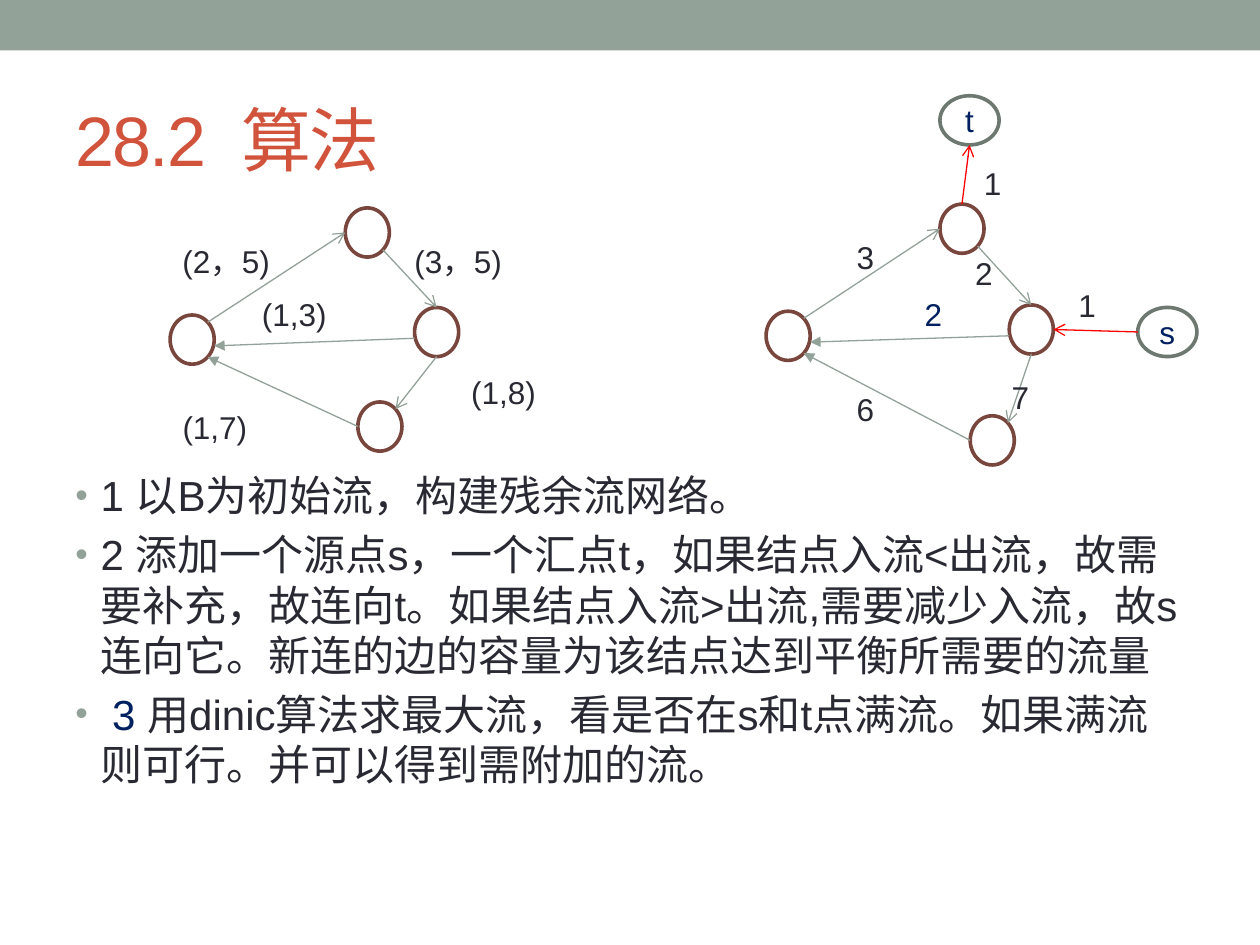
from math import cos, pi, sin
from lxml.etree import SubElement
from pptx import Presentation
from pptx.dml.color import RGBColor
from pptx.enum.shapes import MSO_CONNECTOR, MSO_SHAPE
from pptx.enum.text import MSO_ANCHOR, MSO_AUTO_SIZE, PP_ALIGN
from pptx.oxml.ns import qn
from pptx.util import Inches, Pt


class Theme:
    font = "Arial"
    ink, navy, title = "292934", "002060", "D2533C"
    sage, brown, slate, red, white = "93A299", "79463D", "6D7871", "FF0000", "FFFFFF"
    head, body, label = 40, 24, 18
    ring, edge = 2.08, 0.75


# Sites on an oval, counted from the top, counterclockwise
TOP, LEFT, LOW_LEFT, BASE, LOW_RIGHT, RIGHT, UP_RIGHT = 0, 2, 3, 4, 5, 6, 7
HIGH = 0.39


def tint(code):
    return RGBColor.from_string(code)


def add_run(para, text, size, color):
    run = para.add_run()
    run.text = text
    run.font.name = Theme.font
    run.font.size = Pt(size)
    run.font.color.rgb = tint(color)
    return run


def add_box(slide, x, y, w, h):
    box = slide.shapes.add_textbox(Inches(x), Inches(y), Inches(w), Inches(h))
    box.text_frame.word_wrap = True
    return box.text_frame


def add_label(slide, text, x, y, w, color=Theme.ink):
    frame = add_box(slide, x, y, w, 0.4)
    frame.auto_size = MSO_AUTO_SIZE.SHAPE_TO_FIT_TEXT
    add_run(frame.paragraphs[0], text, Theme.label, color)


def add_node(slide, x, y, w=0.35, text=None):
    node = slide.shapes.add_shape(
        MSO_SHAPE.OVAL, Inches(x), Inches(y), Inches(w), Inches(HIGH))
    node.shadow.inherit = False
    node.line.width = Pt(Theme.ring)
    if text:
        node.fill.background()
        node.line.color.rgb = tint(Theme.slate)
        frame = node.text_frame
        frame.vertical_anchor = MSO_ANCHOR.MIDDLE
        frame.paragraphs[0].alignment = PP_ALIGN.CENTER
        add_run(frame.paragraphs[0], text, Theme.label, Theme.navy)
    else:
        node.fill.solid()
        node.fill.fore_color.rgb = tint(Theme.white)
        node.line.color.rgb = tint(Theme.brown)
    return x, y, w


def find_site(node, site):
    x, y, w = node
    turn = site * pi / 4
    return x + w / 2 * (1 - sin(turn)), y + HIGH / 2 * (1 - cos(turn))


def add_edge(slide, start, end, color=Theme.sage, tip="arrow", drop=0):
    (x1, y1), (x2, y2) = find_site(*start), find_site(*end)
    line = slide.shapes.add_connector(
        MSO_CONNECTOR.STRAIGHT, Inches(x1), Inches(y1 + drop), Inches(x2), Inches(y2 + drop))
    line.line.color.rgb = tint(color)
    line.line.width = Pt(Theme.edge)
    SubElement(line.line._get_or_add_ln(), qn("a:tailEnd"), type=tip)
    SubElement(line._element.spPr, qn("a:effectLst"))


def add_graph(slide, spots, labels):
    top, right, base, left = nodes = [add_node(slide, *spot) for spot in spots]
    add_edge(slide, (left, UP_RIGHT), (top, LEFT))
    add_edge(slide, (right, LEFT), (left, RIGHT), tip="triangle", drop=0.05)
    add_edge(slide, (base, LEFT), (left, LOW_RIGHT), tip="triangle")
    add_edge(slide, (top, LOW_RIGHT), (right, TOP))
    add_edge(slide, (right, BASE), (base, UP_RIGHT))
    for label in labels:
        add_label(slide, *label)
    return nodes


def add_title(slide, text):
    frame = add_box(slide, 0.5, 0.56, 9, 1.08)
    frame.vertical_anchor = MSO_ANCHOR.MIDDLE
    run = add_run(frame.paragraphs[0], text, Theme.head, Theme.title)
    run.font._element.set("spc", "-100")


def add_list(slide, items):
    frame = add_box(slide, 0.5, 3.68, 9, 3.47)
    for count, item in enumerate(items):
        para = frame.add_paragraph() if count else frame.paragraphs[0]
        props = para._p.get_or_add_pPr()
        props.set("marL", str(Inches(0.2)))
        props.set("indent", str(-Inches(0.2)))
        para.space_before = Pt(0.2 * Theme.body)
        shade = SubElement(props, qn("a:buClr"))
        SubElement(shade, qn("a:srgbClr"), val=Theme.sage)
        SubElement(props, qn("a:buSzPct"), val="85000")
        SubElement(props, qn("a:buFont"), typeface=Theme.font)
        SubElement(props, qn("a:buChar"), char="•")
        for text, color in item:
            add_run(para, text, Theme.body, color)


def add_band(slide):
    band = slide.shapes.add_shape(MSO_SHAPE.RECTANGLE, 0, 0, Inches(10), Inches(0.4))
    band.shadow.inherit = False
    band.fill.solid()
    band.fill.fore_color.rgb = tint(Theme.sage)
    band.line.fill.background()


def main():
    deck = Presentation()
    deck.slide_width, deck.slide_height = Inches(10), Inches(7.5)
    slide = deck.slides.add_slide(deck.slide_layouts[6])

    # Band, title and steps
    add_band(slide)
    add_title(slide, "28.2  算法")
    add_list(slide, [
        [("1 以B为初始流，构建残余流网络。", Theme.ink)],
        [("2 添加一个源点s，一个汇点t，如果结点入流<出流，故需要补充，故连向t。"
          "如果结点入流>出流,需要减少入流，故s连向它。"
          "新连的边的容量为该结点达到平衡所需要的流量", Theme.ink)],
        [(" 3 ", Theme.navy),
         ("用dinic算法求最大流，看是否在s和t点满流。如果满流则可行。"
          "并可以得到需附加的流。", Theme.ink)],
    ])

    # First flow with its bounds
    add_graph(
        slide, [(2.74, 1.65), (3.29, 2.44), (2.84, 3.19), (1.35, 2.5)],
        [("(2，5)", 1.35, 1.87, 1.06), ("(1,3)", 1.98, 2.29, 0.76),
         ("(1,7)", 1.35, 3.19, 0.78), ("(3，5)", 3.19, 1.87, 1.06),
         ("(1,8)", 3.64, 2.91, 0.78)])

    # Residual network
    top, right, *_ = add_graph(
        slide, [(7.46, 1.62), (8.01, 2.42), (7.7, 3.3), (6.08, 2.47)],
        [("3", 6.7, 1.84, 0.44), ("2", 7.24, 2.29, 0.76, Theme.navy),
         ("6", 6.7, 3.05, 0.78), ("2", 7.64, 1.97, 0.67), ("7", 7.93, 2.95, 0.78)])

    # Sink and source with their added edges
    sink = add_node(slide, 7.46, 0.76, 0.47, "t")
    source = add_node(slide, 9.03, 2.44, 0.47, "s")
    add_edge(slide, (top, TOP), (sink, BASE), Theme.red)
    add_edge(slide, (source, LEFT), (right, RIGHT), Theme.red)
    add_label(slide, "1", 7.71, 1.25, 0.76)
    add_label(slide, "1", 8.46, 2.22, 0.36)

    deck.save("out.pptx")


main()
